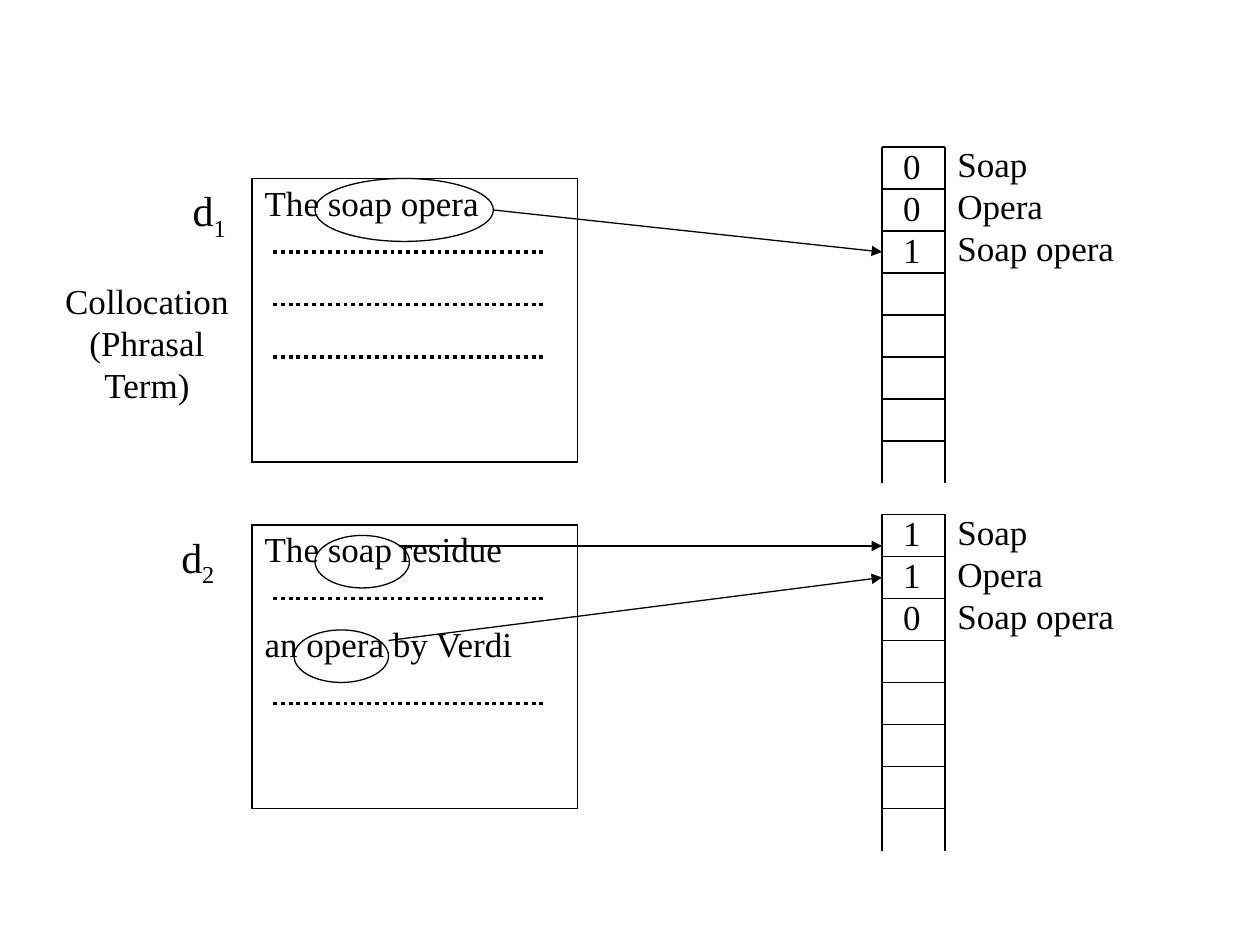
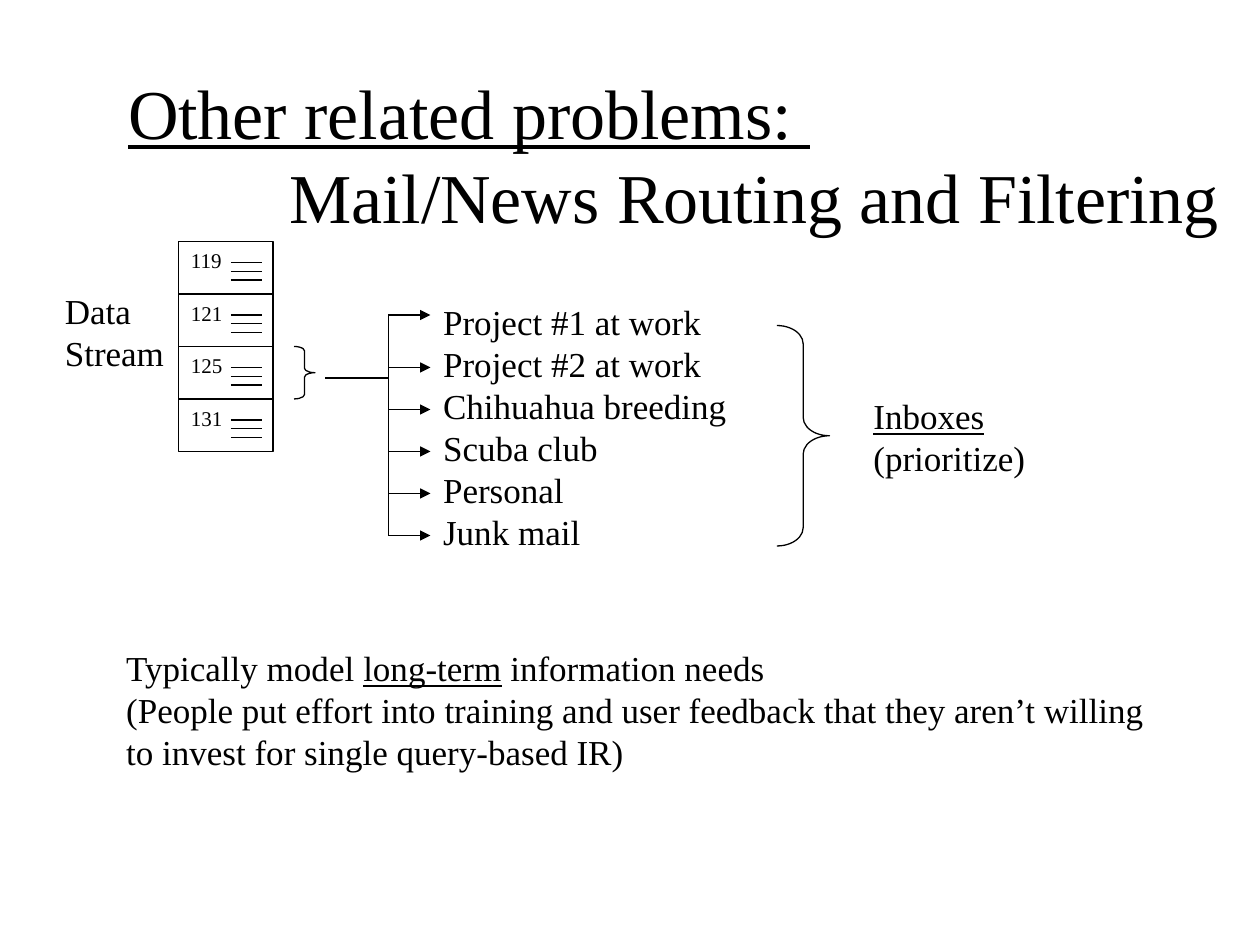
from lxml.etree import SubElement
from pptx import Presentation
from pptx.dml.color import RGBColor
from pptx.enum.dml import MSO_LINE
from pptx.enum.shapes import MSO_CONNECTOR, MSO_SHAPE
from pptx.enum.text import MSO_ANCHOR, MSO_AUTO_SIZE, PP_ALIGN
from pptx.oxml import parse_xml
from pptx.oxml.ns import nsdecls, qn
from pptx.util import Pt

PX = 6350
INK = "000000"
FONT = "Times New Roman"
THIN = Pt(0.75)


def line(shapes, x1, y1, x2, y2, width=THIN, arrow=False):
    c = shapes.add_connector(MSO_CONNECTOR.STRAIGHT, *(v * PX for v in (x1, y1, x2, y2)))
    c.line.color.rgb = RGBColor.from_string(INK)
    c.line.width = width
    if arrow:
        SubElement(c.line._get_or_add_ln(), qn("a:tailEnd"), type="triangle")
    SubElement(c._element.spPr, qn("a:effectLst"))
    return c


def text(tf, paras, size=20, wrap=False, **para_fmt):
    tf.word_wrap = wrap
    for i, para in enumerate(paras):
        p = tf.add_paragraph() if i else tf.paragraphs[0]
        for key, value in para_fmt.items():
            setattr(p, key, value)
        for words, underline in [(para, None)] if isinstance(para, str) else para:
            r = p.add_run()
            r.text = words
            fmt = {"name": FONT, "size": Pt(size), "underline": underline}
            for key, value in fmt.items():
                setattr(r.font, key, value)
            r.font.color.rgb = RGBColor.from_string(INK)
    return tf.paragraphs


prs = Presentation()
prs.slide_width, prs.slide_height = 1440 * PX, 1080 * PX

s = prs.slides.add_slide(prs.slide_layouts[6])
terms = ["Soap", "Opera", "Soap opera"]
docs = [
    (204, 168, ["The soap opera"], [288, 348, 408], ["0", "0", "1"], "1", 206),
    (600, 588, ["The soap residue", "an opera by Verdi"], [684, 804], ["1", "1", "0"], "2", 193),
]
for top, vector_top, words, dotted, counts, number, label_x in docs:
    table = s.shapes.add_table(1, 1, 288 * PX, top * PX, 372 * PX, 324 * PX).table
    table.first_row = table.horz_banding = False
    cell = table.cell(0, 0)
    paras = text(cell.text_frame, words, wrap=True, space_before=Pt(5))
    for p in paras[1:]:
        p.space_before = Pt(32)
    tcPr = cell._tc.get_or_add_tcPr()
    for side in ("lnL", "lnR", "lnT", "lnB"):
        tcPr.append(parse_xml(
            f'<a:{side} w="{Pt(1.08)}" {nsdecls("a")}><a:solidFill>'
            f'<a:srgbClr val="{INK}"/></a:solidFill></a:{side}>'))
    cell.fill.background()

    for y in dotted:
        line(s.shapes, 312, y, 624, y, Pt(2.25)).line.dash_style = MSO_LINE.ROUND_DOT

    vector = s.shapes.add_group_shape().shapes
    for x in (1008, 1080):
        line(vector, x, vector_top, x, vector_top + 384)
    for i in range(8):
        y = vector_top + 48 * i
        line(vector, 1008, y, 1080, y)

    for x, y, w, h, paras in [
        (1018, vector_top - 10, 54, 158, counts),
        (1080, vector_top - 12, 240, 158, terms),
    ]:
        sp = s.shapes.add_textbox(x * PX, y * PX, w * PX, h * PX)
        text(sp.text_frame, paras)

    sp = s.shapes.add_textbox(label_x * PX, top * PX, 80 * PX, 80 * PX)
    p = text(sp.text_frame, [[("d", None), (number, None)]], 24)[0]
    p.runs[1]._r.get_or_add_rPr().set("baseline", "-25000")

for x, y, w, h in [(360, 204, 204, 72), (360, 612, 108, 60), (336, 720, 108, 60)]:
    sp = s.shapes.add_shape(MSO_SHAPE.OVAL, x * PX, y * PX, w * PX, h * PX)
    sp.shadow.inherit = False
    sp.fill.background()
    sp.line.color.rgb = RGBColor.from_string(INK)
    sp.line.width = THIN

for ends in [(564, 240, 1008, 288), (456, 624, 1008, 624), (444, 732, 1008, 660)]:
    line(s.shapes, *ends, arrow=True)

sp = s.shapes.add_textbox(60 * PX, 312 * PX, 216 * PX, 158 * PX)
text(sp.text_frame, ["Collocation", "(Phrasal", "Term)"], alignment=PP_ALIGN.CENTER)

s = prs.slides.add_slide(prs.slide_layouts[1])
title, inboxes = s.placeholders
for sp, box in [(title, (132, 72, 1308, 207)), (inboxes, (492, 336, 372, 302))]:
    sp.left, sp.top, sp.width, sp.height = (v * PX for v in box)
    sp.text_frame.auto_size = MSO_AUTO_SIZE.NONE
    sp.text_frame.vertical_anchor = MSO_ANCHOR.TOP

paras = text(title.text_frame, [[("Other related problems: ", True)],
                                "Mail/News Routing and Filtering"],
             40, wrap=True, alignment=PP_ALIGN.LEFT)
paras[1]._p.get_or_add_pPr().set("marL", str(184 * PX))

folders = ["Project #1 at work", "Project #2 at work", "Chihuahua breeding",
           "Scuba club", "Personal", "Junk mail"]
for p in text(inboxes.text_frame, folders, space_before=Pt(0)):
    pPr = p._p.get_or_add_pPr()
    pPr.set("marL", "0")
    pPr.set("indent", "0")
    SubElement(pPr, qn("a:buNone"))

stream = s.shapes.add_group_shape().shapes
record = stream.add_shape(MSO_SHAPE.RECTANGLE, 204 * PX, 276 * PX, 108 * PX, 240 * PX)
small_brace = s.shapes.add_shape(MSO_SHAPE.RIGHT_BRACE, 336 * PX, 396 * PX, 24 * PX, 60 * PX)
big_brace = s.shapes.add_shape(MSO_SHAPE.RIGHT_BRACE, 888 * PX, 372 * PX, 60 * PX, 252 * PX)
small_brace.adjustments[0] = 0.21
big_brace.adjustments[0] = 0.35
for sp in (record, small_brace, big_brace):
    sp.shadow.inherit = False
    sp.fill.background()
    sp.line.color.rgb = RGBColor.from_string(INK)
    sp.line.width = THIN

for y in (336, 396, 456):
    divider = line(stream, 204, y, 312, y)
    if y == 396:
        divider.begin_connect(record, 1)
        divider.end_connect(record, 3)

for i, number in enumerate(["119", "121", "125", "131"]):
    top = 276 + 60 * i
    message = s.shapes.add_group_shape().shapes
    for j in range(3):
        y = top + 24 + 10 * j
        line(message, 264, y, 300, y)
    sp = s.shapes.add_textbox(204 * PX, top * PX, 72 * PX, 43 * PX)
    text(sp.text_frame, [number], 12)

for x, y, w, h, paras in [
    (60, 324, 150, 111, ["Data", "Stream"]),
    (984, 444, 216, 111, [[("Inboxes", True)], "(prioritize)"]),
    (130, 732, 1220, 158, [
        [("Typically model ", None), ("long-term", True), (" information needs", None)],
        "(People put effort into training and user feedback that they aren’t willing",
        "to invest for single query-based IR)",
    ]),
]:
    sp = s.shapes.add_textbox(x * PX, y * PX, w * PX, h * PX)
    text(sp.text_frame, paras)

routes = s.shapes.add_group_shape().shapes
line(routes, 372, 432, 444, 432)
line(routes, 444, 360, 444, 612)
for y in (360, 420, 468, 516, 564, 612):
    line(routes, 444, y, 492, y, arrow=True)

prs.save("out.pptx")
